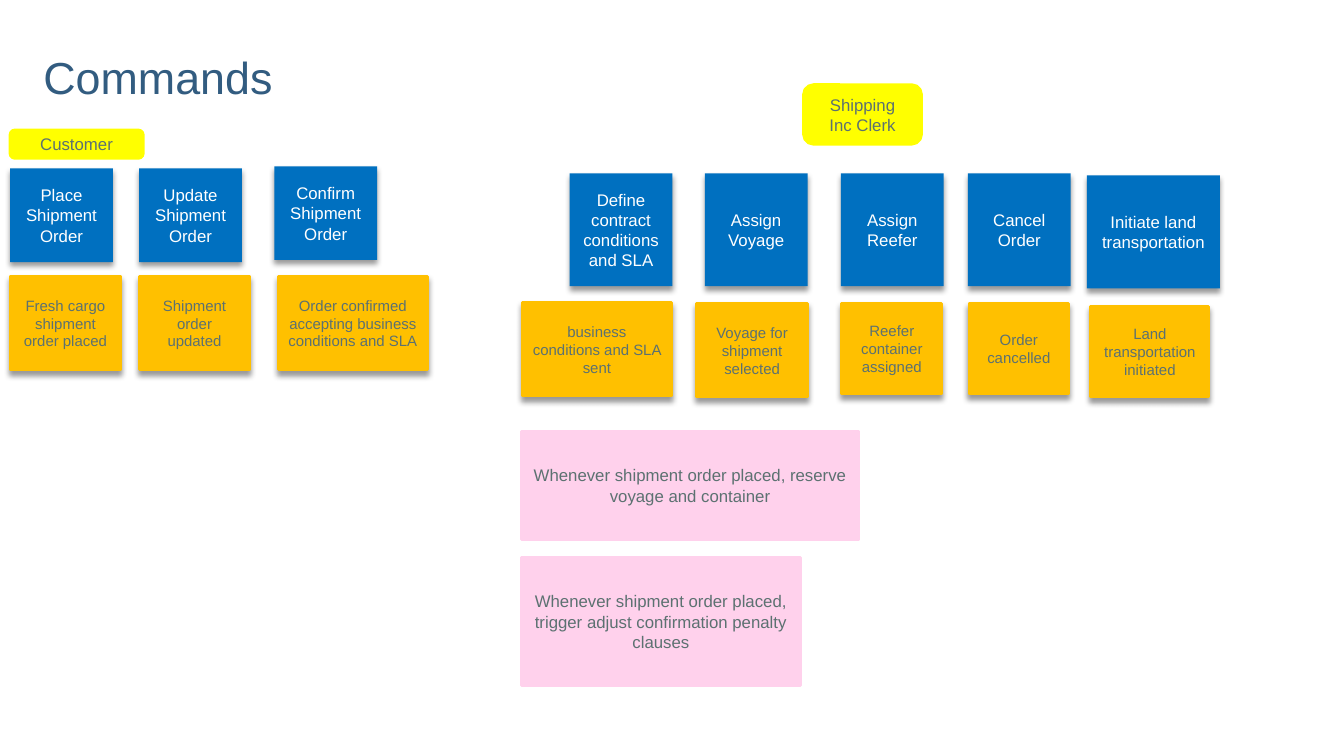
from lxml import etree
from pptx import Presentation
from pptx import util as u
from pptx.dml.color import RGBColor
from pptx.enum import shapes, text
from pptx.oxml.ns import qn

PX = 9144  # EMU per px, 100 px to the inch
FONT = "Arial"
NAVY, GREY, WHITE = "325C80", "5C7171", "FFFFFF"
BLUE, ORANGE, YELLOW, PINK = "0070C0", "FFC000", "FFFF00", "FFD1EC"


def px(*lengths):
    return [u.Emu(length * PX) for length in lengths]


def rgb(color):
    return RGBColor.from_string(color)


def write(frame, words, size=12, color=GREY, align=text.PP_ALIGN.CENTER,
          anchor=text.MSO_ANCHOR.MIDDLE, spacing=None):
    """Fill a text frame; each line of words becomes a paragraph."""
    frame.word_wrap = True
    frame.auto_size = text.MSO_AUTO_SIZE.NONE
    frame.vertical_anchor = anchor
    frame.text = words
    for para in frame.paragraphs:
        para.alignment = align
        para.line_spacing = spacing
        for span in para.runs:
            span.font.name = FONT
            span.font.size = u.Pt(size)
            span.font.color.rgb = rgb(color)


def add_shadow(box):
    """Cast a soft black shadow straight down."""
    effects = box._element.spPr.find(qn("a:effectLst"))
    shadow = etree.SubElement(effects, qn("a:outerShdw"), blurRad=str(u.Pt(4)),
                              dist=str(u.Pt(3)), dir="5400000", rotWithShape="0")
    black = etree.SubElement(shadow, qn("a:srgbClr"), val="000000")
    etree.SubElement(black, qn("a:alpha"), val="40000")


class EventBoard:
    def __init__(self, page):
        self.page = page

    def title(self, words, left, top, width, height):
        box = self.page.shapes.title
        box.left, box.top, box.width, box.height = px(left, top, width, height)
        frame = box.text_frame
        (frame.margin_left, frame.margin_top,
         frame.margin_right, frame.margin_bottom) = px(0, 5, 10, 0)
        write(frame, words, size=32, color=NAVY, align=text.PP_ALIGN.LEFT,
              anchor=text.MSO_ANCHOR.BOTTOM, spacing=0.85)

    def note(self, words, place, fill, kind=shapes.MSO_SHAPE.RECTANGLE,
             outlined=True, shadow=False, **style):
        box = self.page.shapes.add_shape(kind, *px(*place))
        box.shadow.inherit = False
        box.fill.solid()
        box.fill.fore_color.rgb = rgb(fill)
        if outlined:
            box.line.color.rgb = rgb(fill)
            box.line.width = u.Pt(2)
        else:
            box.line.fill.background()
        if shadow:
            add_shadow(box)
        write(box.text_frame, words, **style)

    def actor(self, words, *place):
        self.note(words, place, YELLOW, kind=shapes.MSO_SHAPE.ROUNDED_RECTANGLE)

    def command(self, words, *place):
        self.note(words, place, BLUE, outlined=False, shadow=True, color=WHITE)

    def event(self, words, *place):
        self.note(words, place, ORANGE, shadow=True, size=10.7)

    def policy(self, words, *place):
        self.note(words, place, PINK)


ACTORS = [
    ("Customer", 10, 129, 132, 28),
    ("Shipping Inc Clerk", 797, 84, 117, 59),
]
COMMANDS = [
    ("Place Shipment Order", 10, 167, 102, 93),
    ("Update Shipment Order", 138, 167, 102, 93),
    ("Confirm Shipment Order", 272, 165, 102, 93),
    ("Define contract conditions and SLA", 565, 172, 102, 112),
    ("Assign\nVoyage", 699, 172, 102, 112),
    ("Assign\nReefer", 834, 172, 102, 112),
    ("Cancel\nOrder", 960, 172, 102, 112),
    ("Initiate land transportation", 1078, 174, 132, 112),
]
EVENTS = [
    ("Fresh cargo shipment order placed", 10, 274, 110, 93),
    ("Shipment order updated", 138, 274, 110, 93),
    ("Order confirmed accepting business conditions and SLA", 276, 274, 148, 93),
    ("business conditions and SLA sent", 518, 300, 148, 93),
    ("Voyage for shipment\nselected", 691, 301, 110, 93),
    ("Reefer container assigned", 835, 301, 99, 90),
    ("Order cancelled", 961, 301, 99, 90),
    ("Land transportation initiated", 1082, 304, 117, 90),
]
POLICIES = [
    ("Whenever shipment order placed, reserve voyage and container",
     517, 428, 335, 107),
    ("Whenever shipment order placed, trigger adjust confirmation penalty clauses",
     517, 553, 277, 127),
]


def main():
    deck = Presentation()
    deck.slide_width, deck.slide_height = px(1333, 750)
    board = EventBoard(deck.slides.add_slide(deck.slide_layouts[5]))
    board.title("Commands", 43, 7, 1191, 96)
    for add, notes in ((board.actor, ACTORS), (board.command, COMMANDS),
                       (board.event, EVENTS), (board.policy, POLICIES)):
        for note in notes:
            add(*note)
    deck.save("out.pptx")


if __name__ == "__main__":
    main()
